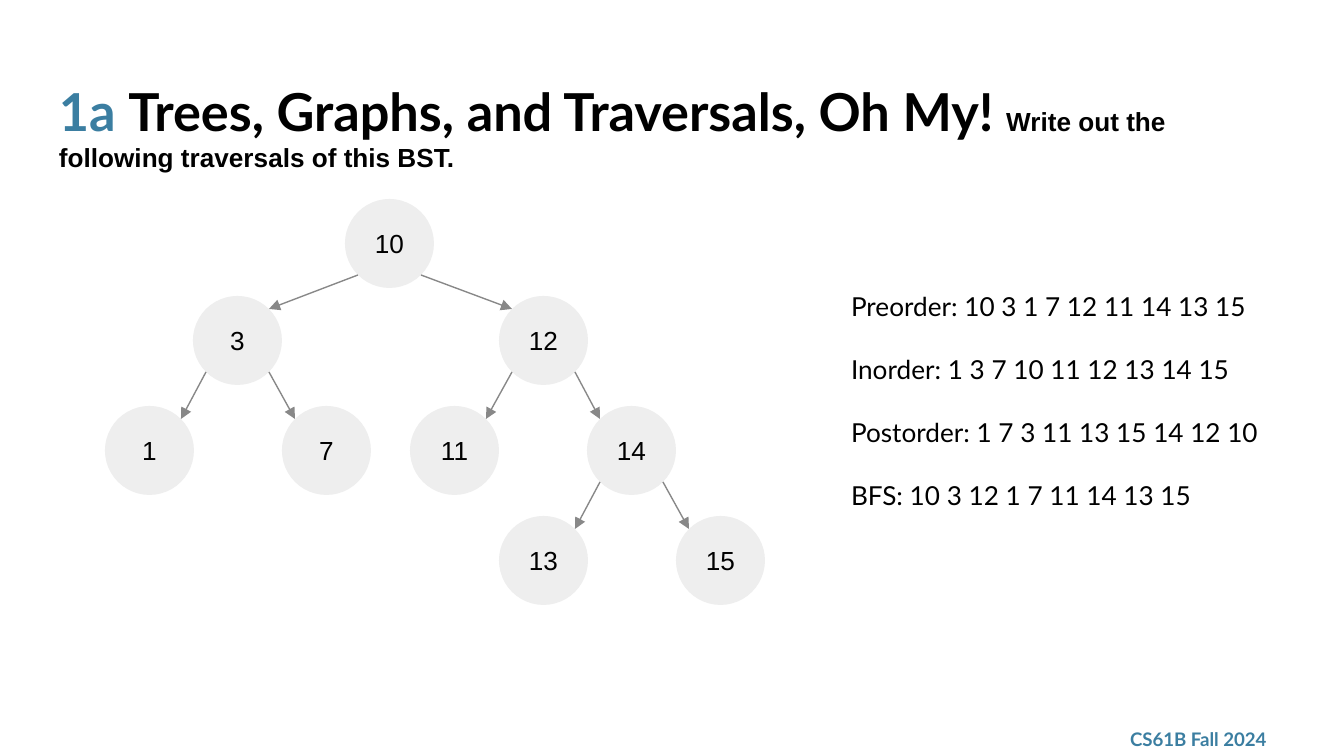
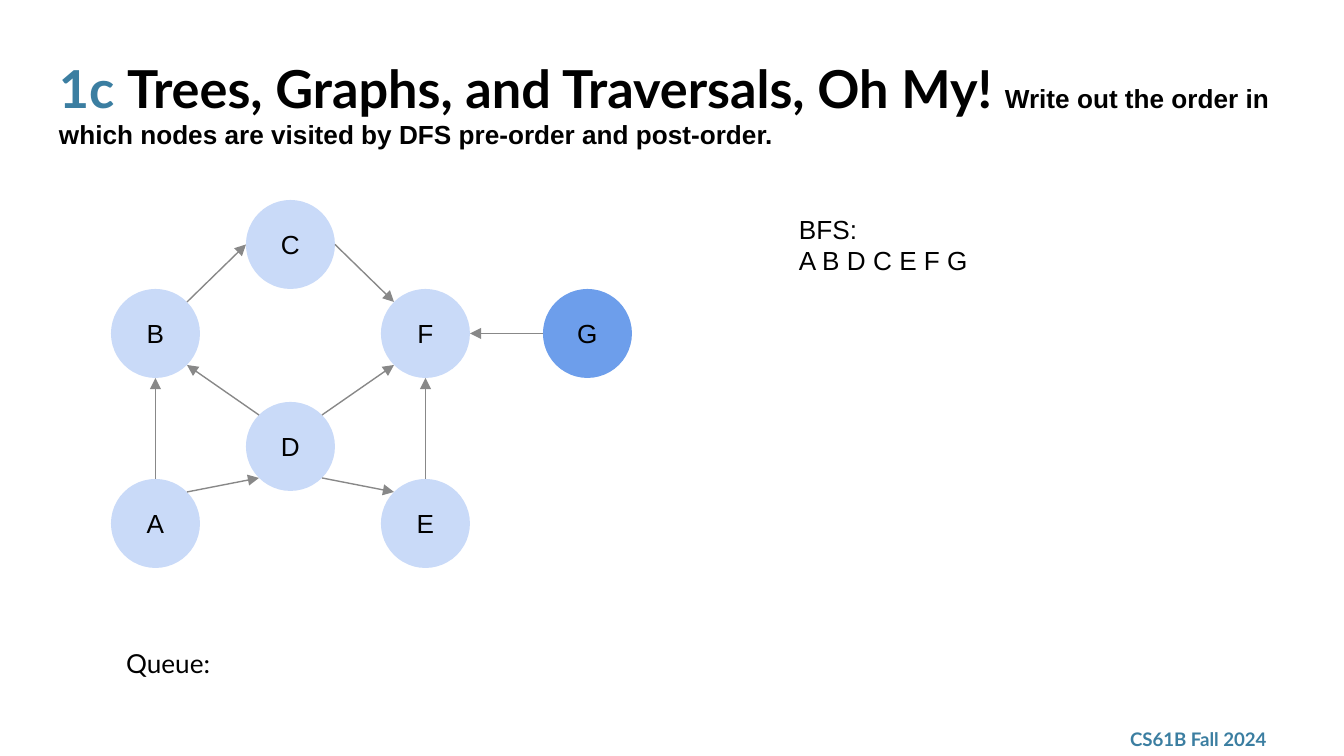
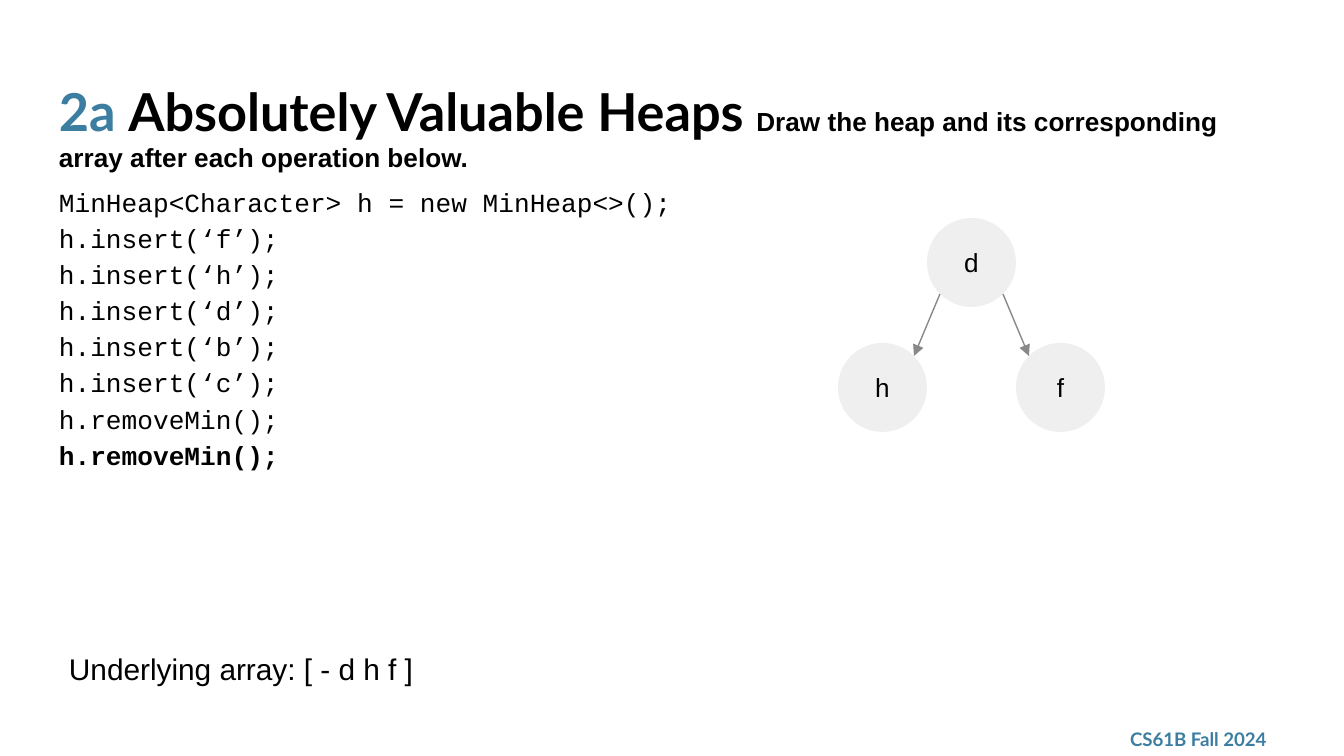
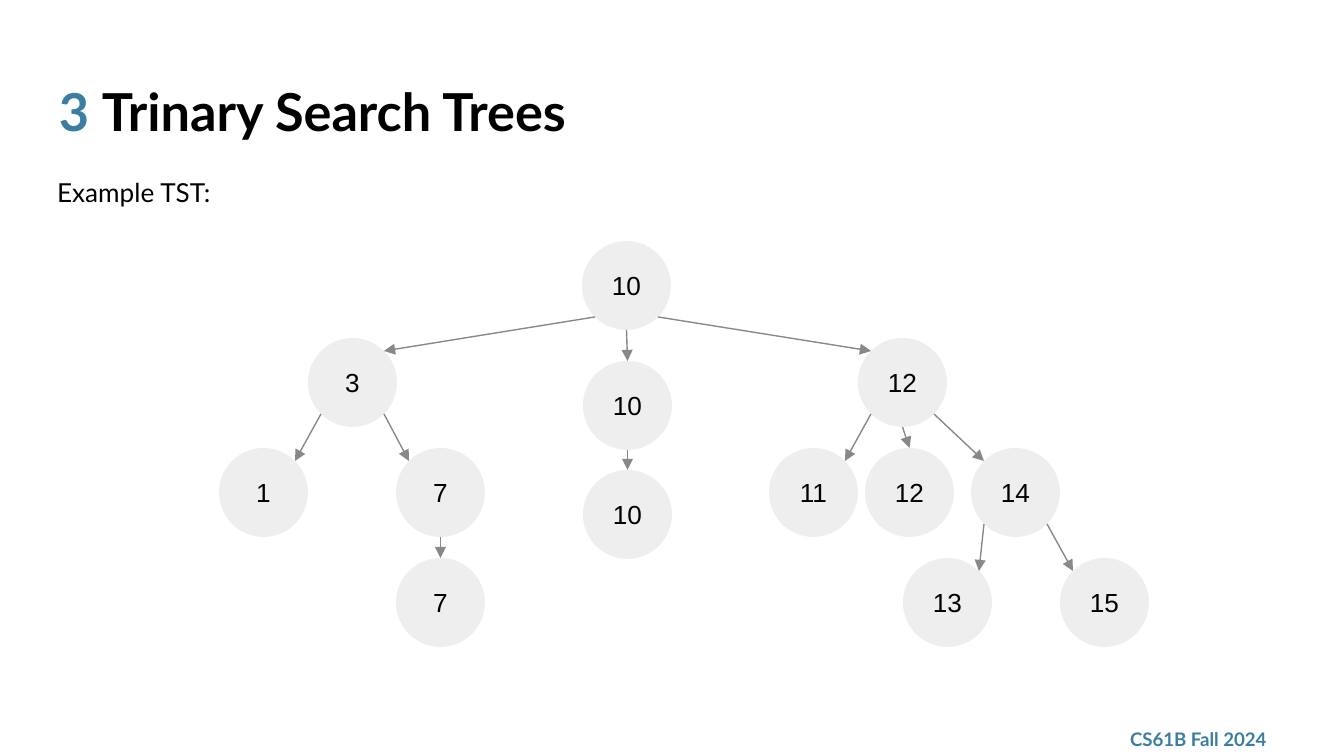
"""Builds four slides on trees, graphs, traversals and heaps."""
from lxml.etree import SubElement
from pptx import Presentation
from pptx.dml.color import RGBColor
from pptx.enum.shapes import MSO_CONNECTOR as CONNECTOR, MSO_SHAPE as SHAPE
from pptx.enum.text import MSO_ANCHOR as ANCHOR, PP_ALIGN as ALIGN
from pptx.oxml.ns import qn
from pptx.util import Pt

color = RGBColor.from_string
BLUE, BLACK, LINE_GRAY = "3B7EA1", "000000", "888888"
NODE_SIZE, CORNER, INSET = 89, 13, 13
MIDDLE, FAR = NODE_SIZE / 2, NODE_SIZE - CORNER
SITES = {
    "n": (MIDDLE, 0), "s": (MIDDLE, NODE_SIZE), "w": (0, MIDDLE), "e": (NODE_SIZE, MIDDLE),
    "nw": (CORNER, CORNER), "ne": (FAR, CORNER), "sw": (CORNER, FAR), "se": (FAR, FAR),
}

NUMBER = {"name": "Lato", "size": Pt(28), "bold": True, "color": BLUE}
HEADING = {**NUMBER, "color": BLACK}
ARIAL = {"name": "Arial", "size": Pt(14), "bold": False, "color": BLACK}
TASK = {**ARIAL, "bold": True}
LATO = {**ARIAL, "name": "Lato"}
CODE = {**ARIAL, "name": "Courier New"}
ARRAY = {**ARIAL, "size": Pt(16)}
FOOTER = {**NUMBER, "size": Pt(10)}


def px(*lengths):
    """Turn px lengths into EMU."""
    return [round(length * 914400 / 134.4) for length in lengths]


def write(shape, paragraphs, anchor=ANCHOR.TOP, gap=0, **layout):
    """Fill a shape with paragraphs, each a list of (text, format) runs."""
    frame = shape.text_frame
    inset = px(INSET)[0]
    settings = {"word_wrap": True, "vertical_anchor": anchor}
    settings.update({f"margin_{side}": inset for side in ("left", "top", "right", "bottom")})
    for name, value in settings.items():
        setattr(frame, name, value)
    for index, runs in enumerate(paragraphs):
        paragraph = frame.add_paragraph() if index else frame.paragraphs[0]
        for name, value in layout.items():
            setattr(paragraph, name, value)
        if index and gap:
            paragraph.space_before = Pt(gap)
        for text, style in runs:
            run = paragraph.add_run()
            run.text = text
            for name, value in style.items():
                if name == "color":
                    run.font.color.rgb = color(value)
                else:
                    setattr(run.font, name, value)


traversals = [
    "Preorder: 10 3 1 7 12 11 14 13 15",
    "Inorder: 1 3 7 10 11 12 13 14 15",
    "Postorder: 1 7 3 11 13 15 14 12 10",
    "BFS: 10 3 12 1 7 11 14 13 15",
]
heap_calls = [
    "MinHeap<Character> h = new MinHeap<>();",
    *[f"h.insert(‘{letter}’);" for letter in "fhdbc"],
    "h.removeMin();",
]

slides = [
    {
        "title": ("1a", "Trees, Graphs, and Traversals, Oh My!",
                  "Write out the following traversals of this BST."),
        "title_top": 66,
        "fill": "EEEEEE",
        "nodes": {
            "10": (345, 199), "3": (193, 296), "12": (499, 296),
            "1": (105, 406), "7": (282, 406), "11": (410, 406), "14": (587, 406),
            "13": (499, 516), "15": (676, 516),
        },
        "arrows": [
            ("10", "sw", "3", "ne"), ("10", "se", "12", "nw"),
            ("3", "sw", "1", "ne"), ("3", "se", "7", "nw"),
            ("12", "sw", "11", "ne"), ("12", "se", "14", "nw"),
            ("14", "sw", "13", "ne"), ("14", "se", "15", "nw"),
        ],
        "texts": [((838, 277, 499, 249), [[(line, LATO)] for line in traversals], {"gap": 17})],
    },
    {
        "title": ("1c", "Trees, Graphs, and Traversals, Oh My!",
                  "Write out the order in which nodes are visited by DFS pre-order and post-order."),
        "title_top": 43,
        "fill": "C9DAF8",
        "nodes": {
            "A": (111, 479), "B": (111, 289), "D": (246, 402), "E": (381, 479),
            "F": (381, 289), "C": (246, 200), "G": (543, 289),
        },
        "highlights": {"G": "6D9EEB"},
        "arrows": [
            ("A", "n", "B", "s"), ("A", "ne", "D", "sw"), ("D", "nw", "B", "se"),
            ("B", "ne", "C", "w"), ("D", "ne", "F", "sw"), ("D", "se", "E", "nw"),
            ("E", "n", "F", "s"), ("C", "e", "F", "nw"), ("G", "w", "F", "e"),
        ],
        "texts": [
            ((786, 200, 327, 122), [[("BFS:", ARIAL)], [("A B D C E F G", ARIAL)]], {}),
            ((113, 634, 1078, 59), [[("Queue:", LATO)]], {}),
        ],
    },
    {
        "title": ("2a", "Absolutely Valuable Heaps",
                  "Draw the heap and its corresponding array after each operation below."),
        "title_top": 66,
        "fill": "EFEFEF",
        "nodes": {"d": (927, 218), "h": (838, 343), "f": (1016, 343)},
        "arrows": [("d", "sw", "h", "ne"), ("d", "se", "f", "nw")],
        "texts": [
            ((46, 169, 650, 337),
             [[(line, CODE)] for line in heap_calls] + [[("h.removeMin();", {**CODE, "bold": True})]],
             {"line_spacing": 1.15}),
            ((56, 638, 589, 63), [[("Underlying array: [ - d h f ]", ARRAY)]], {}),
        ],
    },
    {
        "title": ("3", "Trinary Search Trees", ""),
        "title_top": 66,
        "fill": "EEEEEE",
        "nodes": {
            "10": (582, 241), "3": (308, 338), "12": (858, 338),
            "1": (219, 448), "7": (396, 448), "11": (769, 448), "14": (971, 448),
            "13": (903, 558), "15": (1060, 558),
            "12 child": (865, 448), "7 child": (396, 558),
            "10 child": (583, 361), "10 grandchild": (583, 470),
        },
        "arrows": [
            ("10", "sw", "3", "ne"), ("10", "se", "12", "nw"),
            ("3", "sw", "1", "ne"), ("3", "se", "7", "nw"),
            ("12", "sw", "11", "ne"), ("12", "se", "14", "nw"),
            ("14", "sw", "13", "ne"), ("14", "se", "15", "nw"),
            ("12", "s", "12 child", "n"), ("7", "s", "7 child", "n"),
            ("10", "s", "10 child", "n"), ("10 child", "s", "10 grandchild", "n"),
        ],
        "texts": [((44, 159, 484, 63), [[("Example TST:", LATO)]], {"line_spacing": 1.15})],
    },
]

presentation = Presentation()
presentation.slide_width, presentation.slide_height = px(1344, 756)

for content in slides:
    slide = presentation.slides.add_slide(presentation.slide_layouts[6])

    footer = slide.shapes.add_textbox(*px(1117, 722, 181, 35))
    write(footer, [[("CS61B Fall 2024", FOOTER)]], ANCHOR.MIDDLE)

    number, heading, task = content["title"]
    title_runs = [(f"{number} ", NUMBER), (heading, HEADING)]
    if task:
        title_runs += [(" ", HEADING), (task, TASK)]
    title = slide.shapes.add_textbox(*px(46, content["title_top"], 1253, 85))
    write(title, [title_runs])

    for box, paragraphs, layout in content["texts"]:
        write(slide.shapes.add_textbox(*px(*box)), paragraphs, **layout)

    nodes = content["nodes"]
    for name, (left, top) in nodes.items():
        node = slide.shapes.add_shape(SHAPE.OVAL, *px(left, top, NODE_SIZE, NODE_SIZE))
        node.shadow.inherit = False
        node.fill.solid()
        node.fill.fore_color.rgb = color(content.get("highlights", {}).get(name, content["fill"]))
        node.line.fill.background()
        write(node, [[(name.split()[0], ARIAL)]], ANCHOR.MIDDLE, alignment=ALIGN.CENTER)

    for start, start_site, end, end_site in content["arrows"]:
        ends = [
            position + offset
            for name, site in ((start, start_site), (end, end_site))
            for position, offset in zip(nodes[name], SITES[site])
        ]
        arrow = slide.shapes.add_connector(CONNECTOR.STRAIGHT, *px(*ends))
        arrow.line.color.rgb = color(LINE_GRAY)
        arrow.line.width = Pt(0.75)
        SubElement(arrow.line._get_or_add_ln(), qn("a:tailEnd"), type="triangle")
        SubElement(arrow._element.spPr, qn("a:effectLst"))

presentation.save("out.pptx")
